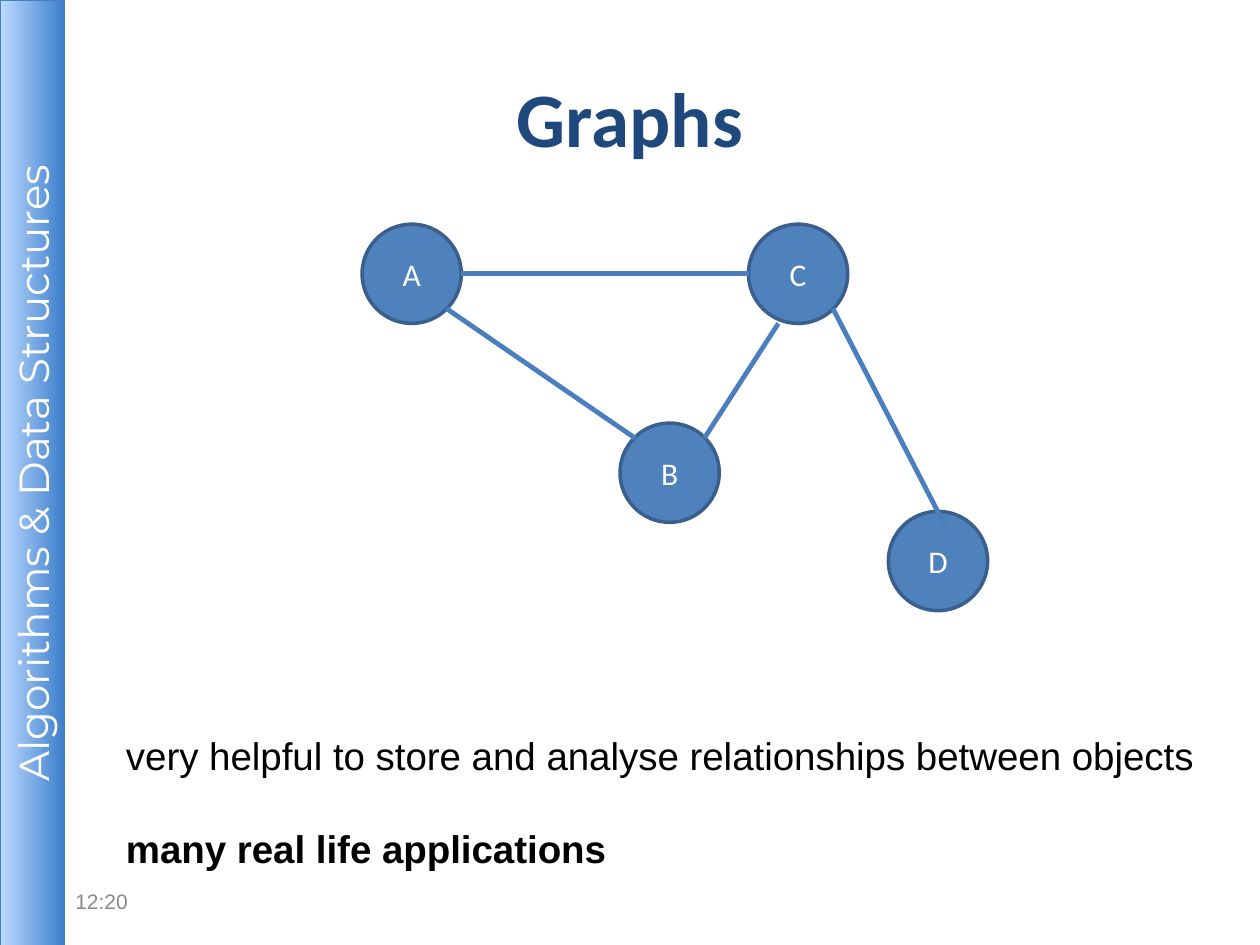
from lxml import etree
from pptx import Presentation
from pptx.dml.color import RGBColor
from pptx.enum.shapes import MSO_CONNECTOR, MSO_SHAPE
from pptx.enum.text import MSO_ANCHOR, PP_ALIGN
from pptx.oxml.ns import qn
from pptx.util import Cm, Pt

STRAIGHT = MSO_CONNECTOR.STRAIGHT
OVAL, RECTANGLE = MSO_SHAPE.OVAL, MSO_SHAPE.RECTANGLE
TOP, MIDDLE = MSO_ANCHOR.TOP, MSO_ANCHOR.MIDDLE
LEFT, CENTER = PP_ALIGN.LEFT, PP_ALIGN.CENTER

WHITE = RGBColor(0xFF, 0xFF, 0xFF)
BLACK = RGBColor(0x00, 0x00, 0x00)
GREY = RGBColor(0x89, 0x89, 0x89)
NAVY = RGBColor(0x1F, 0x49, 0x7D)
NODE_FILL = RGBColor(0x4F, 0x81, 0xBD)
NODE_LINE = RGBColor(0x3A, 0x5F, 0x8C)
EDGE_LINE = RGBColor(0x4B, 0x7E, 0xBC)
BAR_LINE = RGBColor(0x4A, 0x7D, 0xBB)
BAR_LIGHT = RGBColor(0xBD, 0xDB, 0xFE)
BAR_DARK = RGBColor(0x3E, 0x7F, 0xCD)

TITLE_FONT = {"name": "Calibri", "size": Pt(44), "bold": True}
NODE_FONT = {"name": "Calibri", "size": Pt(18)}
BAR_FONT = {"name": "Montserrat", "size": Pt(24)}
BODY_FONT = {"name": "Arial", "size": Pt(22), "bold": False}
STRONG_FONT = {**BODY_FONT, "bold": True}
TIME_FONT = {"name": "Arial", "size": Pt(12)}

NODE_SIZE = 2
NODES = {"A": (7.3, 4.52), "B": (12.5, 8.53), "C": (15.09, 4.52), "D": (17.91, 10.31)}
NEAR, FAR = 0.15, 0.85
EDGES = [
    ("A", (FAR, FAR), "B", (NEAR, NEAR)),
    ("A", (1, 0.5), "C", (0, 0.5)),
    ("C", (0.3, 1), "B", (FAR, NEAR)),
    ("C", (FAR, FAR), "D", (0.6, 0.2)),
]


def write(para, text, font, color, align=LEFT):
    """Put one formatted span of text in a paragraph."""
    para.alignment = align
    span = para.add_run()
    span.text = text
    for name, value in font.items():
        setattr(span.font, name, value)
    span.font.color.rgb = color


def add_title(slide, text):
    """Place and fill the title placeholder."""
    title = slide.shapes.title
    frame = {"left": Cm(1.27), "top": Cm(0.76), "width": Cm(22.86), "height": Cm(3.18)}
    for name, value in frame.items():
        setattr(title, name, value)
    title.text_frame.vertical_anchor = MIDDLE
    write(title.text_frame.paragraphs[0], text, TITLE_FONT, NAVY, CENTER)


def add_labelled_shape(slide, kind, frame, text, font, line_color, line_width):
    """Add an outlined shape with a centred white label."""
    shape = slide.shapes.add_shape(kind, *map(Cm, frame))
    shape.shadow.inherit = False
    shape.line.color.rgb = line_color
    shape.line.width = Pt(line_width)
    shape.text_frame.vertical_anchor = MIDDLE
    write(shape.text_frame.paragraphs[0], text, font, WHITE, CENTER)
    return shape


def add_sidebar(slide, text):
    """Add the upright gradient bar with the course name."""
    frame = (-8.89, 8.89, 19.08, 1.3)
    bar = add_labelled_shape(slide, RECTANGLE, frame, text, BAR_FONT, BAR_LINE, 0.75)
    bar.rotation = 270
    bar.fill.gradient()
    bar.fill.gradient_angle = 270
    for stop, color, position in zip(bar.fill.gradient_stops, (BAR_LIGHT, BAR_DARK), (0, 1)):
        stop.color.rgb = color
        stop.position = position
    for side in ("left", "top", "right", "bottom"):
        setattr(bar.text_frame, f"margin_{side}", Cm(0.1))


def add_node(slide, name):
    """Add one round graph node."""
    frame = (*NODES[name], NODE_SIZE, NODE_SIZE)
    node = add_labelled_shape(slide, OVAL, frame, name, NODE_FONT, NODE_LINE, 2)
    node.fill.solid()
    node.fill.fore_color.rgb = NODE_FILL


def node_point(name, shares):
    """Return the point at the given shares of a node's width and height."""
    return [Cm(start + NODE_SIZE * share) for start, share in zip(NODES[name], shares)]


def add_edge(slide, first, first_shares, second, second_shares):
    """Draw a line between two graph nodes."""
    ends = node_point(first, first_shares) + node_point(second, second_shares)
    edge = slide.shapes.add_connector(STRAIGHT, *ends)
    edge.line.color.rgb = EDGE_LINE
    edge.line.width = Pt(2.75)
    etree.SubElement(edge.element.spPr, qn("a:effectLst"))


def add_text(slide, frame, lines, color, anchor=TOP, gap=0):
    """Add a text box with one paragraph per (text, font) line."""
    box = slide.shapes.add_textbox(*map(Cm, frame))
    box.text_frame.word_wrap = True
    box.text_frame.vertical_anchor = anchor
    for index, (text, font) in enumerate(lines):
        para = box.text_frame.add_paragraph() if index else box.text_frame.paragraphs[0]
        if index:
            para.space_before = Pt(gap)
        write(para, text, font, color)


def main():
    """Build and save the slide."""
    deck = Presentation()
    deck.slide_width, deck.slide_height = Cm(25.4), Cm(19.05)
    slide = deck.slides.add_slide(deck.slide_layouts[5])
    add_sidebar(slide, "Algorithms & Data Structures")
    add_title(slide, "Graphs")
    for name in NODES:
        add_node(slide, name)
    for edge in EDGES:
        add_edge(slide, *edge)
    remarks = [
        ("very helpful to store and analyse relationships between objects", BODY_FONT),
        ("many real life applications", STRONG_FONT),
    ]
    add_text(slide, (2.29, 14.63, 22.33, 3.07), remarks, BLACK, gap=27)
    add_text(slide, (1.27, 17.65, 5.92, 1.02), [("12:20", TIME_FONT)], GREY, MIDDLE)
    deck.save("out.pptx")


if __name__ == "__main__":
    main()
